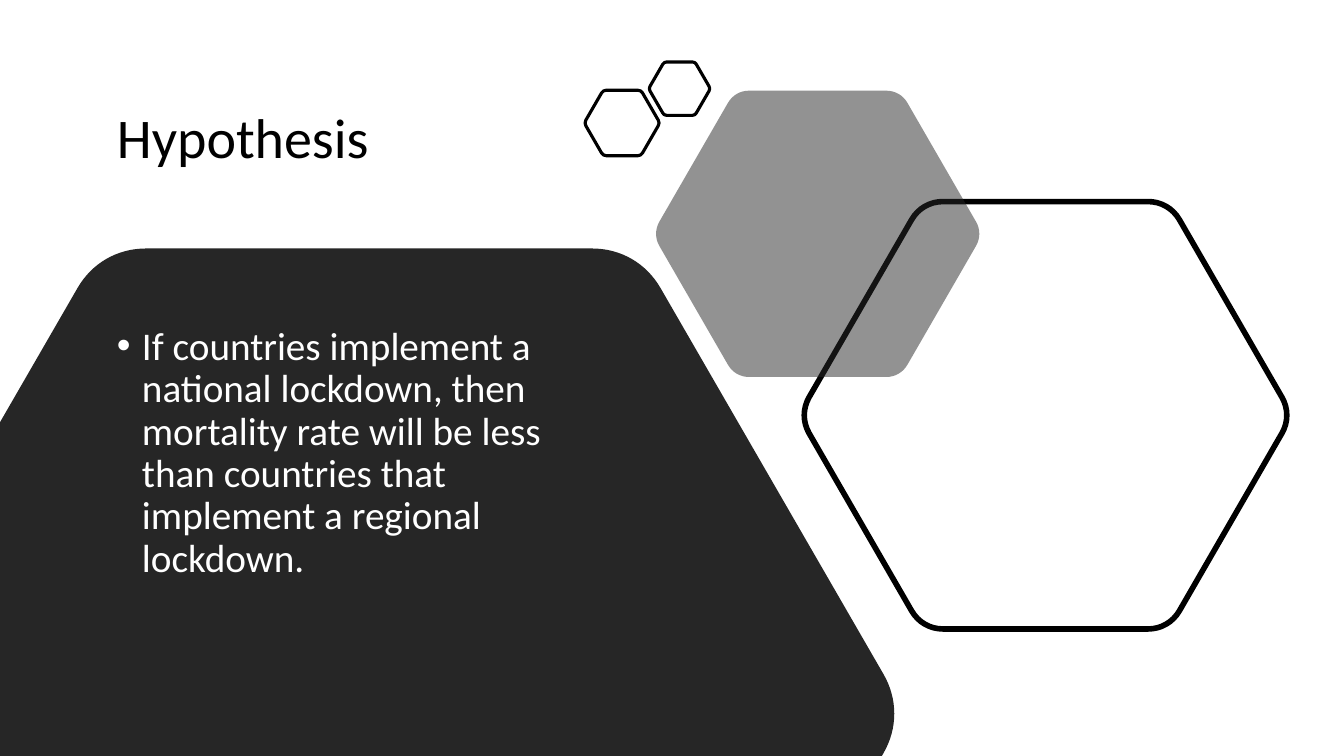
from math import cos, dist, pi, sin, sqrt

from lxml import etree
from pptx import Presentation
from pptx.dml.color import RGBColor
from pptx.enum.text import MSO_ANCHOR, MSO_AUTO_SIZE, PP_ALIGN
from pptx.oxml.ns import qn
from pptx.util import Inches, Pt

# Content
TITLE = "Hypothesis"
HYPOTHESIS = (
    "If countries implement a national lockdown, then mortality rate will be "
    "less than countries that implement a regional lockdown."
)

BLACK = RGBColor(0x00, 0x00, 0x00)
CHARCOAL = RGBColor(0x26, 0x26, 0x26)
WHITE = RGBColor(0xFF, 0xFF, 0xFF)
FONT = "Calibri"

SLIDE_W, SLIDE_H = 13.33, 7.5
TEXT_LEFT = 1.06
CORNER = 0.085   # share of a side that each rounded corner takes
PULL = 0.63      # how far the curve handles reach towards the corner

# Hexagons from back to front: centre x, centre y, height, fill, opacity %, line pt
HEXAGONS = [
    (3.66, 7.08, 9.23, CHARCOAL, 100, None),
    (10.37, 4.12, 4.24, None, None, 4),
    (8.11, 2.32, 2.84, CHARCOAL, 50, None),
    (6.17, 1.22, 0.65, None, None, 2.25),
    (6.74, 0.88, 0.53, None, None, 2.25),
]


def between(a, b, share):
    return tuple(p + (q - p) * share for p, q in zip(a, b))


def clip(outline, axis, limit, sign):
    """Keep the part of the outline where sign * (coordinate - limit) >= 0."""
    kept = []
    for k, point in enumerate(outline):
        before = outline[k - 1]
        depth, depth_before = (sign * (p[axis] - limit) for p in (point, before))
        if (depth >= 0) != (depth_before >= 0):
            kept.append(between(before, point, depth_before / (depth_before - depth)))
        if depth >= 0:
            kept.append(point)
    return kept


def hexagon_outline(center_x, center_y, height):
    """Points of a hexagon cut at the slide edge, and where its curves start."""
    side = height / sqrt(3)
    corners = [(center_x + side * cos(k * pi / 3), center_y + side * sin(k * pi / 3))
               for k in range(6)]
    visible = clip(clip(corners, 0, 0, 1), 1, SLIDE_H, -1)
    points, curve_starts = [], []
    for k, corner in enumerate(visible):
        if corner not in corners:
            points.append(corner)
            continue
        start, end = (between(corner, neighbour, CORNER * side / dist(corner, neighbour))
                      for neighbour in (visible[k - 1], visible[(k + 1) % len(visible)]))
        curve_starts.append(len(points))
        points += [start, between(start, corner, PULL), between(end, corner, PULL), end]
    return points, curve_starts


def bend(freeform, curve_starts):
    """Turn the three segments after each curve start into one Bézier curve."""
    segments = list(freeform._element.find(".//" + qn("a:path")))
    for start in curve_starts:
        curve = etree.Element(qn("a:cubicBezTo"))
        segments[start + 1].addprevious(curve)
        for segment in segments[start + 1:start + 4]:
            curve.append(segment[0])
            segment.getparent().remove(segment)


def add_hexagon(shapes, center_x, center_y, height, fill, opacity, line_width):
    outline, curve_starts = hexagon_outline(center_x, center_y, height)
    points = [(Inches(x), Inches(y)) for x, y in outline]
    builder = shapes.build_freeform(*points[0])
    builder.add_line_segments(points[1:], close=True)
    hexagon = builder.convert_to_shape()
    bend(hexagon, curve_starts)
    hexagon.shadow.inherit = False
    if fill is None:
        hexagon.fill.background()
    else:
        hexagon.fill.solid()
        hexagon.fill.fore_color.rgb = fill
        if opacity < 100:
            color = hexagon._element.spPr.find(".//" + qn("a:srgbClr"))
            etree.SubElement(color, qn("a:alpha"), val=str(opacity * 1000))
    if line_width is None:
        hexagon.line.fill.background()
    else:
        hexagon.line.color.rgb = BLACK
        hexagon.line.width = Pt(line_width)


def write(frame, text, size, color):
    frame.word_wrap = True
    frame.auto_size = MSO_AUTO_SIZE.NONE
    frame.text = text
    paragraph = frame.paragraphs[0]
    paragraph.alignment = PP_ALIGN.LEFT
    paragraph.line_spacing = 0.9
    paragraph.font.name = FONT
    paragraph.font.size = Pt(size)
    paragraph.font.color.rgb = color
    return paragraph


def main():
    prs = Presentation()
    prs.slide_width, prs.slide_height = Inches(SLIDE_W), Inches(SLIDE_H)
    slide = prs.slides.add_slide(prs.slide_layouts[5])

    # Title
    title = slide.shapes.title
    title.left, title.top = Inches(TEXT_LEFT), Inches(0.49)
    title.width, title.height = Inches(4.68), Inches(1.8)
    write(title.text_frame, TITLE, 40, BLACK)
    title.text_frame.vertical_anchor = MSO_ANCHOR.MIDDLE

    # Hexagons
    for hexagon in HEXAGONS:
        add_hexagon(slide.shapes, *hexagon)

    # Bulleted hypothesis
    body = slide.shapes.add_textbox(Inches(TEXT_LEFT), Inches(3.19),
                                    Inches(5.19), Inches(3.82))
    body.text_frame.margin_right = Inches(0.2)
    bullet = write(body.text_frame, HYPOTHESIS, 28, WHITE)
    properties = bullet._p.get_or_add_pPr()
    properties.set("marL", str(Inches(0.25)))
    properties.set("indent", str(-Inches(0.25)))
    bullet_font = etree.Element(qn("a:buFont"), typeface="Arial")
    bullet_char = etree.Element(qn("a:buChar"), char="•")
    properties.find(qn("a:defRPr")).addprevious(bullet_font)
    bullet_font.addnext(bullet_char)

    prs.save("out.pptx")


if __name__ == "__main__":
    main()
